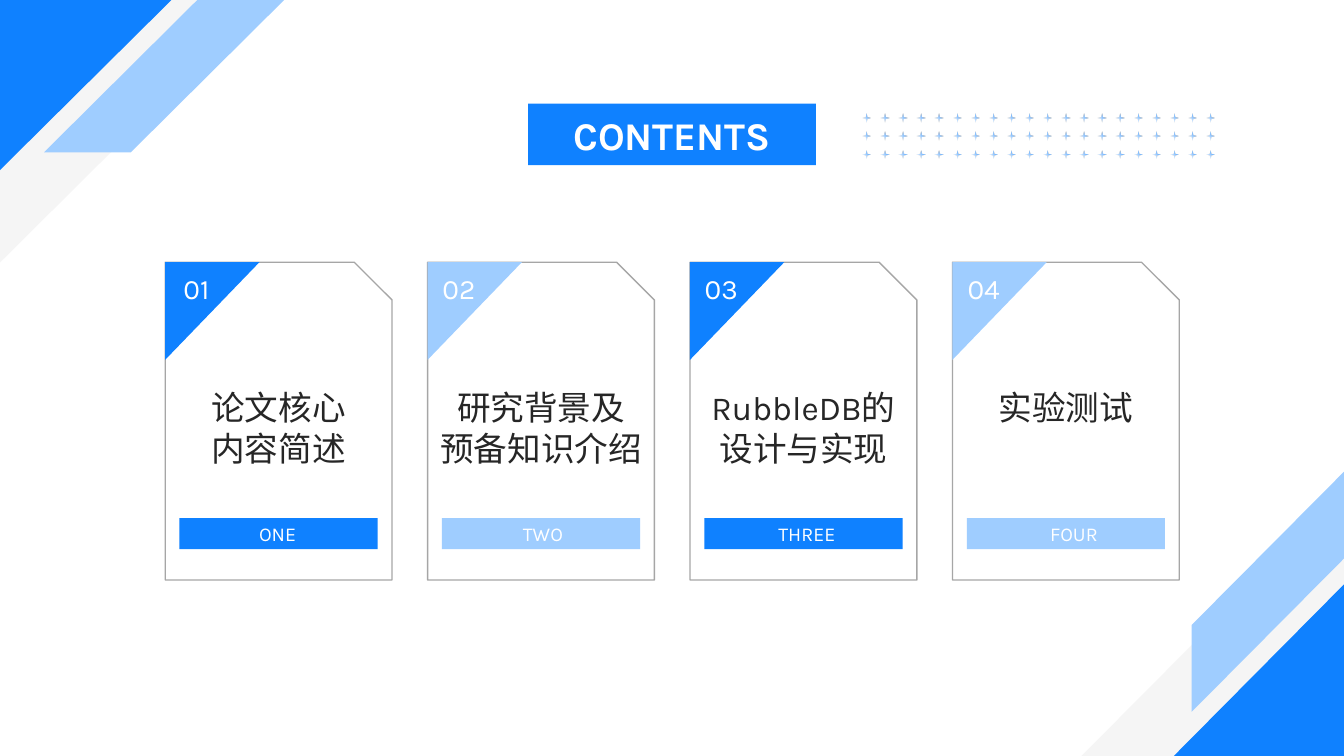
from lxml.etree import SubElement
from pptx import Presentation
from pptx.dml.color import RGBColor
from pptx.enum.shapes import MSO_SHAPE
from pptx.enum.text import MSO_ANCHOR, PP_ALIGN
from pptx.oxml.ns import qn
from pptx.util import Pt

COLORS = {
    "blue": "0F81FF",
    "sky": "9FCDFF",
    "pale": "F2F2F2",
    "outline": "A6A6A6",
    "ink": "262626",
    "white": "FFFFFF",
}
FONT = "Karla"
SLIDE_W, SLIDE_H = 960, 540

# number, heading lines, colour, footer label, shift of the label from the bar's centre
CARDS = [
    ("01", ["论文核心", "内容简述"], "blue", "ONE", -0.7),
    ("02", ["研究背景及", "预备知识介绍"], "sky", "TWO", 1.4),
    ("03", ["RubbleDB的设计与实现"], "blue", "THREE", 2.5),
    ("04", ["实验测试"], "sky", "FOUR", 5.8),
]


def rgb(name):
    return RGBColor.from_string(COLORS[name])


def set_alpha(fill_xml, percent):
    """Make the last colour inside a fill element transparent."""
    color = list(fill_xml.iter(qn("a:srgbClr")))[-1]
    SubElement(color, qn("a:alpha")).set("val", str(percent * 1000))


def paint(shape, color):
    shape.shadow.inherit = False
    shape.fill.solid()
    shape.fill.fore_color.rgb = rgb(color)
    shape.line.fill.background()


def write(frame, lines, size, color, bold=False):
    frame.word_wrap = True
    for index, line in enumerate(lines):
        paragraph = frame.paragraphs[0] if index == 0 else frame.add_paragraph()
        paragraph.alignment = PP_ALIGN.CENTER
        run = paragraph.add_run()
        run.text = line
        run.font.name = FONT
        run.font.size = Pt(size)
        run.font.bold = bold
        run.font.color.rgb = rgb(color)


def add_text(slide, left, top, width, height, lines, size, color):
    box = slide.shapes.add_textbox(Pt(left), Pt(top), Pt(width), Pt(height))
    write(box.text_frame, lines, size, color)


def add_polygon(slide, points, color):
    start, *rest = [(Pt(x), Pt(y)) for x, y in points]
    builder = slide.shapes.build_freeform(*start)
    builder.add_line_segments(rest, close=True)
    polygon = builder.convert_to_shape()
    paint(polygon, color)
    return polygon


def add_corner(slide, place):
    """Draw the corner bands; place maps distances from the corner to the slide."""
    bands = [
        ("pale", [(0, 0), (188.5, 0), (0, 187.5)]),
        ("blue", [(0, 0), (122.5, 0), (0, 121.5)]),
        ("sky", [(141, 0), (203, 0), (93.5, 108.8), (31.5, 108.8)]),
    ]
    for color, points in bands:
        band = add_polygon(slide, [place(x, y) for x, y in points], color)
        if color == "pale":
            set_alpha(band.element.spPr, 75)


def add_title(slide, left, top, width, height):
    title = slide.shapes.title
    title.left, title.top = Pt(left), Pt(top)
    title.width, title.height = Pt(width), Pt(height)
    paint(title, "blue")
    title.text_frame.vertical_anchor = MSO_ANCHOR.MIDDLE
    write(title.text_frame, ["CONTENTS"], 28, "white", bold=True)


def add_card(slide, left, top, width, height, number, heading, color, label, shift):
    frame = slide.shapes.add_shape(
        MSO_SHAPE.SNIP_1_RECTANGLE, Pt(left), Pt(top), Pt(width), Pt(height))
    frame.shadow.inherit = False
    frame.fill.background()
    frame.line.color.rgb = rgb("outline")
    frame.line.width = Pt(1)

    add_polygon(slide, [(left, top), (left + 67.3, top), (left, top + 69.7)], color)
    add_text(slide, left, top + 3, 44.6, 31.5, [number], 20, "white")
    add_text(slide, left, top + 85.7, width, 65.4, heading, 24, "ink")

    bar_inset, bar_top = 10.2, top + 182.7
    bar = slide.shapes.add_shape(
        MSO_SHAPE.RECTANGLE, Pt(left + bar_inset), Pt(bar_top),
        Pt(width - 2 * bar_inset), Pt(22.2))
    paint(bar, color)
    label_width = 69
    label_left = left + (width - label_width) / 2 + shift
    add_text(slide, label_left, bar_top - 0.6, label_width, 24.5, [label], 14, "white")


def add_star_grid(slide, left, top, columns, rows, pitch, size):
    for row in range(rows):
        for column in range(columns):
            star = slide.shapes.add_shape(
                MSO_SHAPE.STAR_4_POINT, Pt(left + column * pitch),
                Pt(top + row * pitch), Pt(size), Pt(size))
            star.shadow.inherit = False
            star.line.fill.background()
            star.element.spPr.xfrm.set("flipH", "1")
            star.fill.gradient()
            star.fill.gradient_angle = 319
            for stop, position, color in zip(
                    star.fill.gradient_stops, (0.1, 1), ("blue", "sky")):
                stop.position = position
                stop.color.rgb = rgb(color)
            set_alpha(star.element.spPr, 0)


def build_contents(slide):
    add_corner(slide, lambda x, y: (x, y))
    add_corner(slide, lambda x, y: (SLIDE_W - y, SLIDE_H - x))
    add_title(slide, 377.2, 74, 205.5, 44)
    for index, card in enumerate(CARDS):
        add_card(slide, 118 + index * 187.45, 187.3, 162, 227, *card)
    add_star_grid(slide, 616.2, 81.4, columns=20, rows=3, pitch=12.93, size=5.8)


def main():
    deck = Presentation()
    deck.slide_width, deck.slide_height = Pt(SLIDE_W), Pt(SLIDE_H)
    title_only = deck.slide_layouts[5]
    build_contents(deck.slides.add_slide(title_only))
    deck.save("out.pptx")


if __name__ == "__main__":
    main()
